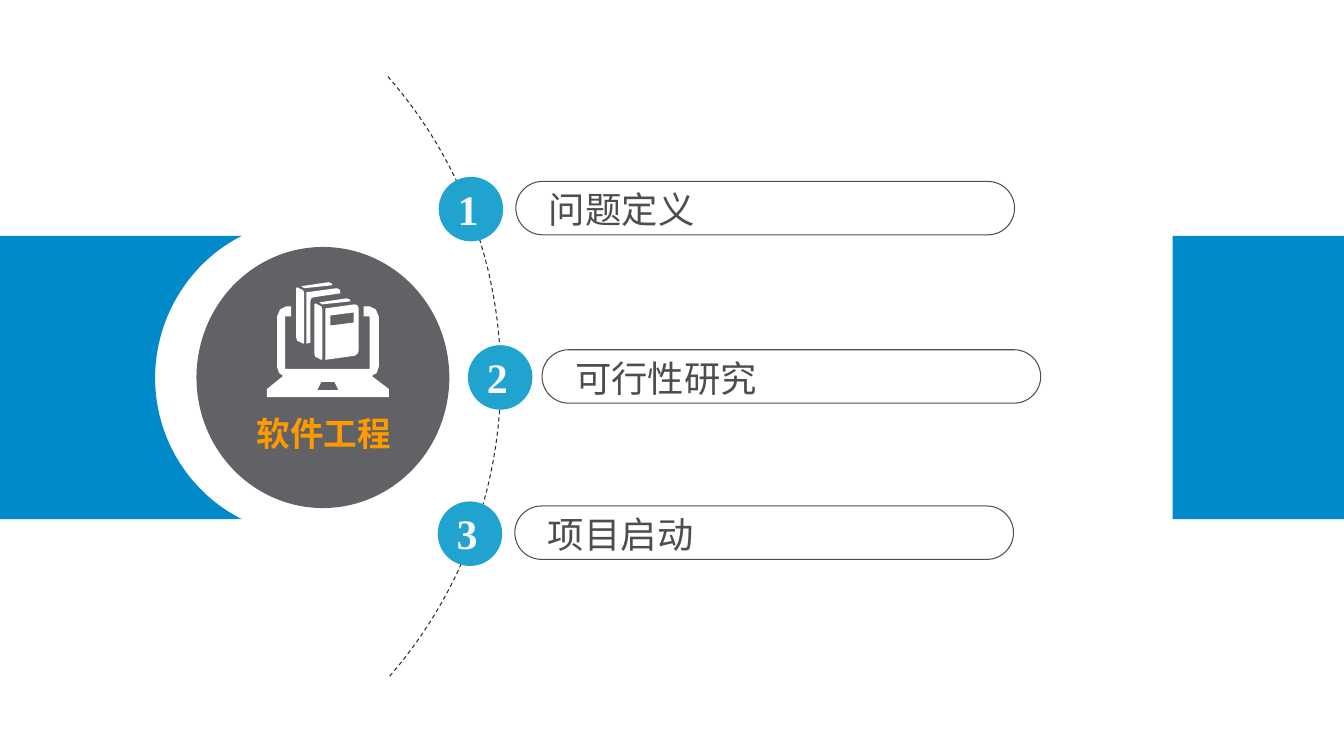
from dataclasses import dataclass

from lxml import etree
from pptx import Presentation, util as u
from pptx.dml.color import RGBColor
from pptx.enum import dml, shapes
from pptx.oxml.ns import qn


@dataclass(frozen=True)
class Theme:
    """Colours, fonts and type sizes of the slide."""
    panel: str = "008ACA"
    badge: str = "21A3D0"
    hub: str = "606265"
    icon: str = "FFFFFF"
    title: str = "FF9900"
    ink: str = "4D4D4D"
    arc: str = "2E2C2C"
    number: str = "F8F8F8"
    cjk: str = "Noto Sans CJK SC"
    latin: str = "Times New Roman"
    title_size: int = 24
    label_size: int = 26
    number_size: int = 30
    outline: float = 0.75


COLS, ROWS = 1334, 750
ITEMS = [("问题定义", 436, 512, 180), ("可行性研究", 465, 538, 347), ("项目启动", 435, 511, 502)]
BOOK = {
    "top": [(299, 284), (302, 286), (330, 283), (329, 281), (326, 280)],
    "spine": [(295, 285), (301, 288), (302, 291), (302, 340), (301, 341), (295, 338),
              (294, 335), (294, 286)],
}
FRONT_BOOK = [[(x + 18, y + 16) for x, y in part] for part in BOOK.values()]
ICON = [*BOOK.values(), *FRONT_BOOK,
        [(319, 379), (332, 379), (336, 387), (315, 387)],
        [(323, 306), (352, 302), (355, 303), (356, 306), (356, 348), (355, 351),
         (352, 353), (323, 357)],
        [(328, 313), (351, 310), (351, 320), (328, 323)],
        [(304, 290), (334, 286), (337, 287), (338, 291), (311, 295), (309, 296),
         (308, 299), (308, 340), (304, 341)],
        [(283, 314), (289, 314), (289, 304), (284, 304), (278, 307), (275, 314),
         (275, 364), (277, 370), (281, 373), (265, 386), (265, 394), (386, 394),
         (386, 386), (369, 373), (374, 370), (376, 364), (376, 314), (373, 307),
         (367, 304), (361, 304), (361, 314), (367, 314), (367, 366), (283, 366)]]


def curve(a, b, c, d, steps=32):
    """Return points along a cubic Bezier curve."""
    ts = [i / steps for i in range(steps + 1)]
    return [tuple((1 - t) ** 3 * p + 3 * t * (1 - t) ** 2 * q + 3 * t * t * (1 - t) * r + t ** 3 * s
                  for p, q, r, s in zip(a, b, c, d)) for t in ts]


def write(tf, text, *, size, color, font, bold=False):
    """Write one formatted line into a text frame."""
    r = tf.paragraphs[0].add_run()
    r.text = text
    r.font.size, r.font.bold, r.font.name = u.Pt(size), bold, font
    r.font.color.rgb = RGBColor.from_string(color)
    etree.SubElement(r._r.get_or_add_rPr(), qn("a:ea"), typeface=font)


class Deck:
    """Draws themed elements on a grid of columns and rows."""

    def __init__(self, theme):
        """Start a deck with one blank slide."""
        self.theme = theme
        self.prs = Presentation()
        self.prs.slide_width, self.prs.slide_height = u.Inches(13.34), u.Inches(7.5)
        self.s = self.prs.slides.add_slide(self.prs.slide_layouts[6])

    def at(self, col, row):
        """Convert a grid position to slide lengths."""
        return (round(col * self.prs.slide_width / COLS),
                round(row * self.prs.slide_height / ROWS))

    def paint(self, sp, fill=None, line=None, width=0):
        """Set the fill and line of a shape."""
        sp.shadow.inherit = False
        for part, color in ((sp.fill, fill), (sp.line.fill, line)):
            if color:
                part.solid()
                part.fore_color.rgb = RGBColor.from_string(color)
            else:
                part.background()
        if line:
            sp.line.width = u.Pt(width)
        return sp

    def shape(self, kind, col, row, cols, rows, **style):
        """Add a preset shape."""
        sp = self.s.shapes.add_shape(kind, *self.at(col, row), *self.at(cols, rows))
        return self.paint(sp, **style)

    def outline(self, contours, closed=True, **style):
        """Add a freeform made of one or more contours."""
        first, *rest = [[self.at(*p) for p in points] for points in contours]
        fb = self.s.shapes.build_freeform(*first[0], scale=1.0)
        fb.add_line_segments(first[1:], close=closed)
        for points in rest:
            fb.move_to(*points[0])
            fb.add_line_segments(points[1:], close=closed)
        return self.paint(fb.convert_to_shape(), **style)

    def text(self, text, col, row, cols, rows, wrap=True, **style):
        """Add a text box."""
        tf = self.s.shapes.add_textbox(*self.at(col, row), *self.at(cols, rows)).text_frame
        tf.word_wrap = wrap
        write(tf, text, **style)

    def item(self, number, label, badge_col, pill_col, row):
        """Add a numbered badge with its labelled pill."""
        t = self.theme
        pill = self.shape(shapes.MSO_SHAPE.ROUNDED_RECTANGLE, pill_col, row, 495, 53,
                          line=t.ink, width=t.outline)
        pill.adjustments[0] = 0.5
        self.text(label, pill_col + 23, row + 1, 450, 54,
                  size=t.label_size, color=t.ink, font=t.cjk)
        self.shape(shapes.MSO_SHAPE.OVAL, badge_col, row - 4, 63, 63,
                   fill=t.badge, line=t.badge, width=t.outline)
        self.text(str(number), badge_col + 8.5, row - 3, 41, 60, wrap=False,
                  size=t.number_size, color=t.number, font=t.latin, bold=True)


def main():
    """Build and save the slide."""
    t = Theme()
    deck = Deck(t)
    deck.shape(shapes.MSO_SHAPE.RECTANGLE, 1164, 234, 170, 281, fill=t.panel)

    upper = curve((385, 76), (455, 156), (497, 260), (497, 375))
    lower = curve((497, 375), (497, 489), (455, 593), (385, 673))
    arc = deck.outline([upper + lower[1:]], closed=False, line=t.arc)
    arc.line.dash_style = dml.MSO_LINE.DASH

    deck.shape(shapes.MSO_SHAPE.OVAL, 195, 245, 251, 259, fill=t.hub)
    deck.outline(ICON, fill=t.icon)
    deck.text("软件工程", 245, 405, 160, 50,
              size=t.title_size, color=t.title, font=t.cjk, bold=True)

    bay = (curve((240, 234), (190, 259), (154, 313), (154, 375))
           + curve((154, 375), (154, 437), (190, 490), (240, 515))[1:])
    deck.outline([[(0, 234), *bay, (0, 515)]], fill=t.panel)

    for number, item in enumerate(ITEMS, 1):
        deck.item(number, *item)
    deck.prs.save("out.pptx")


if __name__ == "__main__":
    main()
